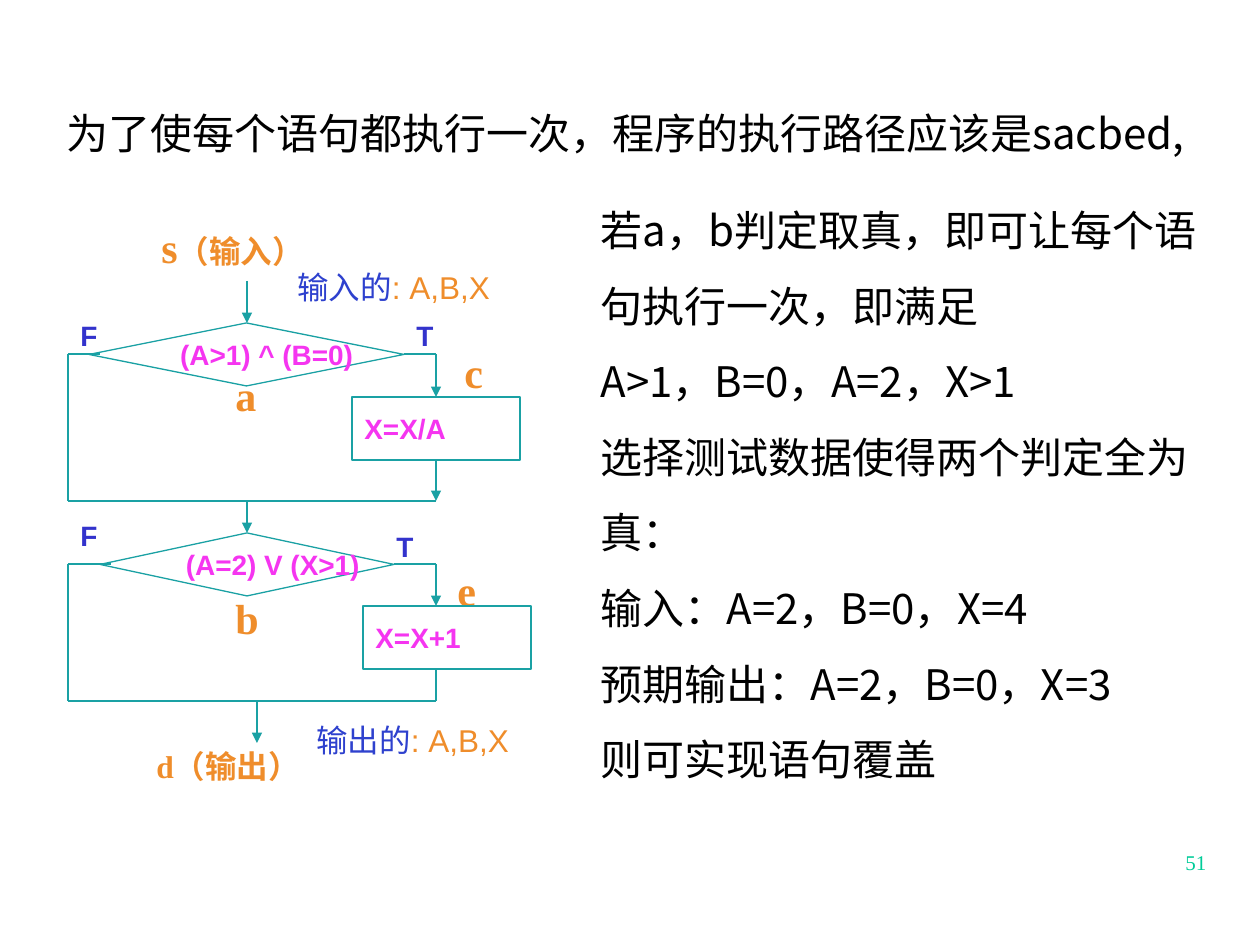
from lxml.etree import SubElement
from pptx import Presentation
from pptx.dml.color import RGBColor
from pptx.enum.shapes import MSO_CONNECTOR, MSO_SHAPE
from pptx.enum.text import MSO_ANCHOR, MSO_AUTO_SIZE, PP_ALIGN
from pptx.oxml.ns import qn
from pptx.util import Pt

PX = 914400 // 126
CJK, SERIF, SANS = "Noto Sans CJK SC", "Times New Roman", "Arial"
BLACK, WHITE, ORANGE, TEAL = "000000", "FFFFFF", "EF8D2B", "1AA1A4"
MAGENTA, NAVY, BLUE, GREEN = "F535F0", "3333CC", "2E41CE", "00CC99"

TITLE = "为了使每个语句都执行一次，程序的执行路径应该是sacbed,"
BODY = [
    "若a，b判定取真，即可让每个语句执行一次，即满足",
    "A>1，B=0，A=2，X>1",
    "选择测试数据使得两个判定全为真：",
    "输入：A=2，B=0，X=4",
    "预期输出：A=2，B=0，X=3",
    "则可实现语句覆盖",
]

# Path letters: text, left, top, width, height
LETTERS = [("b", 223, 586, 49, 63), ("a", 223, 363, 47, 64),
           ("c", 452, 340, 49, 63), ("e", 445, 558, 44, 63)]
# Start and end: runs of (text, size), box
ENDS = [([("s", 24), ("（输入）", 18)], (149, 215, 193, 64)),
        ([("d（输出）", 18)], (144, 741, 227, 50))]
BRANCHES = [("T", 404, 312), ("F", 68, 312), ("T", 384, 523), ("F", 68, 512)]
DECISION, PROCESS = MSO_SHAPE.FLOWCHART_DECISION, MSO_SHAPE.RECTANGLE
NODES = [(DECISION, "(A>1) ^ (B=0)", 89, 323, 315),
         (PROCESS, "X=X/A", 352, 397, 168),
         (DECISION, "(A=2) V (X>1)", 100, 533, 294),
         (PROCESS, "X=X+1", 363, 606, 168)]
NODE_H = 63
VALUES = [("输入的", 285, 260), ("输出的", 304, 713)]

# Flow lines: x1, y1, x2, y2
LEFT, MID, RIGHT, OUT = 68, 247, 436, 257
LINES = [(LEFT, 354, 100, 354), (404, 354, RIGHT, 354), (LEFT, 354, LEFT, 501),
         (LEFT, 501, RIGHT, 501), (LEFT, 564, 111, 564), (394, 564, RIGHT, 564),
         (LEFT, 564, LEFT, 701), (LEFT, 701, RIGHT, 701), (RIGHT, 669, RIGHT, 701)]
ARROWS = [(MID, 281, MID, 323), (RIGHT, 354, RIGHT, 397), (RIGHT, 460, RIGHT, 501),
          (MID, 501, MID, 533), (RIGHT, 564, RIGHT, 606), (OUT, 701, OUT, 743)]


def rgb(color):
    return RGBColor.from_string(color)


def emu(*values):
    return [v * PX for v in values]


def add_run(p, text, size=24, font=CJK, color=BLACK, bold=False):
    r = p.add_run()
    r.text = text
    f = r.font
    f.size, f.name, f.bold = Pt(size), font, bold
    f.color.rgb = rgb(color)
    SubElement(r._r.get_or_add_rPr(), qn("a:ea"), typeface=CJK)


def fill_placeholder(sp, box, lines):
    sp.left, sp.top, sp.width, sp.height = emu(*box)
    tf = sp.text_frame
    tf.word_wrap, tf.auto_size = True, MSO_AUTO_SIZE.NONE
    tf.vertical_anchor = MSO_ANCHOR.TOP
    for i, line in enumerate(lines):
        p = tf.add_paragraph() if i else tf.paragraphs[0]
        pPr = p._p.get_or_add_pPr()
        pPr.set("marL", "0")
        pPr.set("indent", "0")
        SubElement(pPr, qn("a:buNone"))
        p.alignment, p.line_spacing = PP_ALIGN.LEFT, 1.5
        p.space_before = Pt(0)
        add_run(p, line)


def add_label(box, runs, wrap=False, **style):
    tf = s.shapes.add_textbox(*emu(*box)).text_frame
    tf.word_wrap = wrap
    for text, size in runs:
        add_run(tf.paragraphs[0], text, size=size, **style)


def add_box(kind, box, line=None):
    sp = s.shapes.add_shape(kind, *emu(*box))
    sp.shadow.inherit = False
    sp.fill.solid()
    sp.fill.fore_color.rgb = rgb(WHITE)
    if line:
        sp.line.color.rgb, sp.line.width = rgb(line), Pt(0.75)
    else:
        sp.line.fill.background()
    tf = sp.text_frame
    tf.word_wrap, tf.vertical_anchor = False, MSO_ANCHOR.MIDDLE
    p = tf.paragraphs[0]
    p.alignment = PP_ALIGN.LEFT
    return p


def add_line(points, arrow=False):
    c = s.shapes.add_connector(MSO_CONNECTOR.STRAIGHT, *emu(*points))
    c.line.color.rgb, c.line.width = rgb(TEAL), Pt(1)
    if arrow:
        SubElement(c.line._get_or_add_ln(), qn("a:tailEnd"), type="triangle")
    SubElement(c._element.spPr, qn("a:effectLst"))


prs = Presentation()
prs.slide_width, prs.slide_height = emu(1260, 945)
s = prs.slides.add_slide(prs.slide_layouts[1])

# Title, explanation and page number
fill_placeholder(s.shapes.title, (54, 76, 1164, 89), [TITLE])
fill_placeholder(s.placeholders[1], (588, 173, 648, 624), BODY)
add_label((1173, 843, 47, 38), [("51", 12)], font=SERIF, color=GREEN)

# Flow chart
for text, *box in LETTERS:
    add_label(box, [(text, 24)], font=SERIF, color=ORANGE, bold=True)
for runs, box in ENDS:
    add_label(box, runs, wrap=True, font=SERIF, color=ORANGE, bold=True)
for kind, text, x, y, w in NODES:
    p = add_box(kind, (x, y, w, NODE_H), TEAL)
    add_run(p, text, size=16, font=SANS, color=MAGENTA, bold=True)
for points in LINES:
    add_line(points)
for points in ARROWS:
    add_line(points, arrow=True)
for text, x, y in BRANCHES:
    add_label((x, y, 43, 47), [(text, 16)], font=SANS, color=NAVY, bold=True)

# Input and output values
for text, x, y in VALUES:
    p = add_box(PROCESS, (x, y, 284, 53))
    add_run(p, text, size=18, color=BLUE)
    add_run(p, ": A,B,X", size=18, font=SANS, color=ORANGE)

prs.save("out.pptx")
